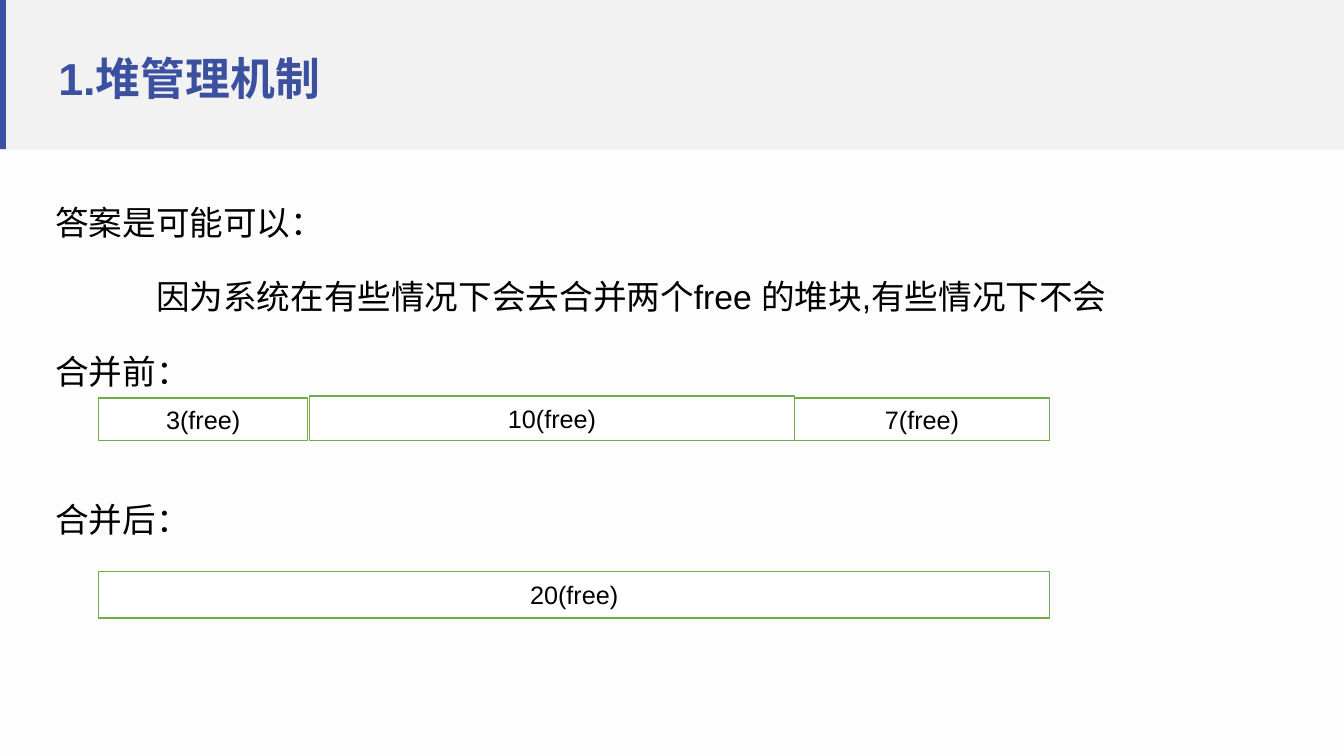
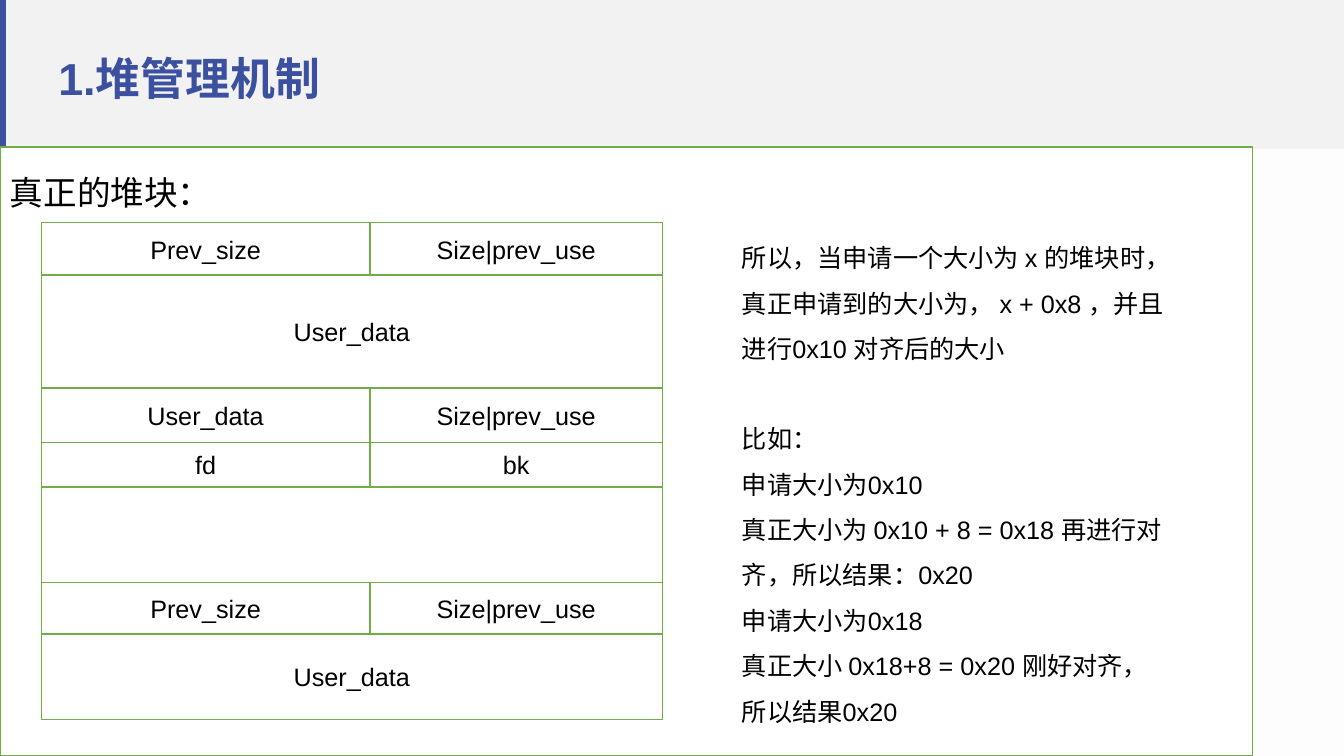
from pptx import Presentation
from pptx.dml.color import RGBColor
from pptx.enum.shapes import MSO_SHAPE as Shape
from pptx.enum.text import MSO_ANCHOR as Anchor, PP_ALIGN as Align
from pptx.util import Emu, Pt

PX = 9144  # EMU per px, 100 px to the inch
SLIDE_W, SLIDE_H = 1333, 750
BAND_H = 148
FONT = "Arial"
COLORS = {
    "page": "FDFDFD",
    "band": "F2F2F2",
    "accent": "3C50A0",
    "block": "FFFFFF",
    "border": "70AD47",
    "text": "000000",
}


def px(*lengths):
    return [Emu(length * PX) for length in lengths]


def color(name):
    return RGBColor.from_string(COLORS[name])


def style(paragraph, size, name="text", bold=False, align=Align.LEFT):
    paragraph.alignment = align
    font = paragraph.font
    font.name, font.size, font.bold = FONT, Pt(size), bold
    font.color.rgb = color(name)


def add_rect(slide, box, fill, border=None):
    rect = slide.shapes.add_shape(Shape.RECTANGLE, *px(*box))
    rect.shadow.inherit = False
    rect.fill.solid()
    rect.fill.fore_color.rgb = color(fill)
    if border:
        rect.line.color.rgb = color(border)
        rect.line.width = Pt(1)
    else:
        rect.line.fill.background()
    return rect


def add_block(slide, box, label):
    """A heap block with a centred label, which may be empty."""
    block = add_rect(slide, box, "block", "border")
    if label:
        frame = block.text_frame
        frame.vertical_anchor = Anchor.MIDDLE
        frame.text = label
        style(frame.paragraphs[0], 18, align=Align.CENTER)


def add_text(slide, box):
    frame = slide.shapes.add_textbox(*px(*box)).text_frame
    frame.word_wrap = True
    return frame


def fill_lines(frame, lines, size):
    """Write (text, space before in pt, first-line indent in px) lines."""
    frame.vertical_anchor = Anchor.TOP
    for i, (text, before, indent) in enumerate(lines):
        paragraph = frame.add_paragraph() if i else frame.paragraphs[0]
        paragraph.text = text
        paragraph.line_spacing = 1.5
        paragraph.space_before = Pt(before)
        style(paragraph, size)
        if indent:
            properties = paragraph._p.get_or_add_pPr()
            properties.set("marL", "0")
            properties.set("indent", str(indent * PX))


def add_slide(prs, heading):
    """A slide with the shared background, band and title."""
    slide = prs.slides.add_slide(prs.slide_layouts[6])
    slide.background.fill.solid()
    slide.background.fill.fore_color.rgb = color("page")
    add_rect(slide, (0, 0, SLIDE_W, BAND_H), "band")
    add_rect(slide, (0, 0, 6, BAND_H), "accent")
    title = add_text(slide, (48, 18, 1032, 114))
    title.vertical_anchor = Anchor.MIDDLE
    title.text = heading
    title.paragraphs[0].line_spacing = Pt(42)
    style(title.paragraphs[0], 32, "accent", bold=True)
    return slide


def build_merge_slide(prs, heading):
    slide = add_slide(prs, heading)
    fill_lines(add_text(slide, (45, 175, 1242, 604)), [
        ("答案是可能可以：", 10, 0),
        ("因为系统在有些情况下会去合并两个free 的堆块,有些情况下不会", 10, 100),
        ("合并前：", 10, 0),
        ("合并后：", 63, 0),
    ], 24)

    # Free blocks before and after merging
    for box, label in [
        ((98, 395, 207, 42), "3(free)"),
        ((307, 393, 481, 44), "10(free)"),
        ((788, 395, 253, 42), "7(free)"),
        ((98, 567, 943, 46), "20(free)"),
    ]:
        add_block(slide, box, label)


def build_chunk_slide(prs, heading):
    slide = add_slide(prs, heading)
    panel = add_rect(slide, (0, 146, 1242, 604), "block", "border")
    fill_lines(panel.text_frame, [("真正的堆块：", 10, 0)], 24)

    # Chunk layout: row height and one or two fields
    left, top = 41, 221
    field_widths = (326, 290)
    for height, *fields in [
        (52, "Prev_size", "Size|prev_use"),
        (112, "User_data"),
        (54, "User_data", "Size|prev_use"),
        (44, "fd", "bk"),
        (95, ""),
        (51, "Prev_size", "Size|prev_use"),
        (85, "User_data"),
    ]:
        widths = field_widths if len(fields) == 2 else (sum(field_widths),)
        x = left
        for width, field in zip(widths, fields):
            add_block(slide, (x, top, width, height), field)
            x += width
        top += height

    # Explanation of the real chunk size
    fill_lines(add_text(slide, (726, 221, 445, 504)), [
        ("所以，当申请一个大小为 x 的堆块时，真正申请到的大小为， x + 0x8 ，并且进行0x10 对齐后的大小", 0, 0),
        ("比如：", 32, 0),
        ("申请大小为0x10", 0, 0),
        ("真正大小为 0x10 + 8 = 0x18 再进行对齐，所以结果：0x20", 0, 0),
        ("申请大小为0x18", 0, 0),
        ("真正大小 0x18+8 = 0x20 刚好对齐，所以结果0x20", 0, 0),
    ], 18)


def main():
    prs = Presentation()
    prs.slide_width, prs.slide_height = px(SLIDE_W, SLIDE_H)
    heading = "1.堆管理机制"
    build_merge_slide(prs, heading)
    build_chunk_slide(prs, heading)
    prs.save("out.pptx")


if __name__ == "__main__":
    main()
